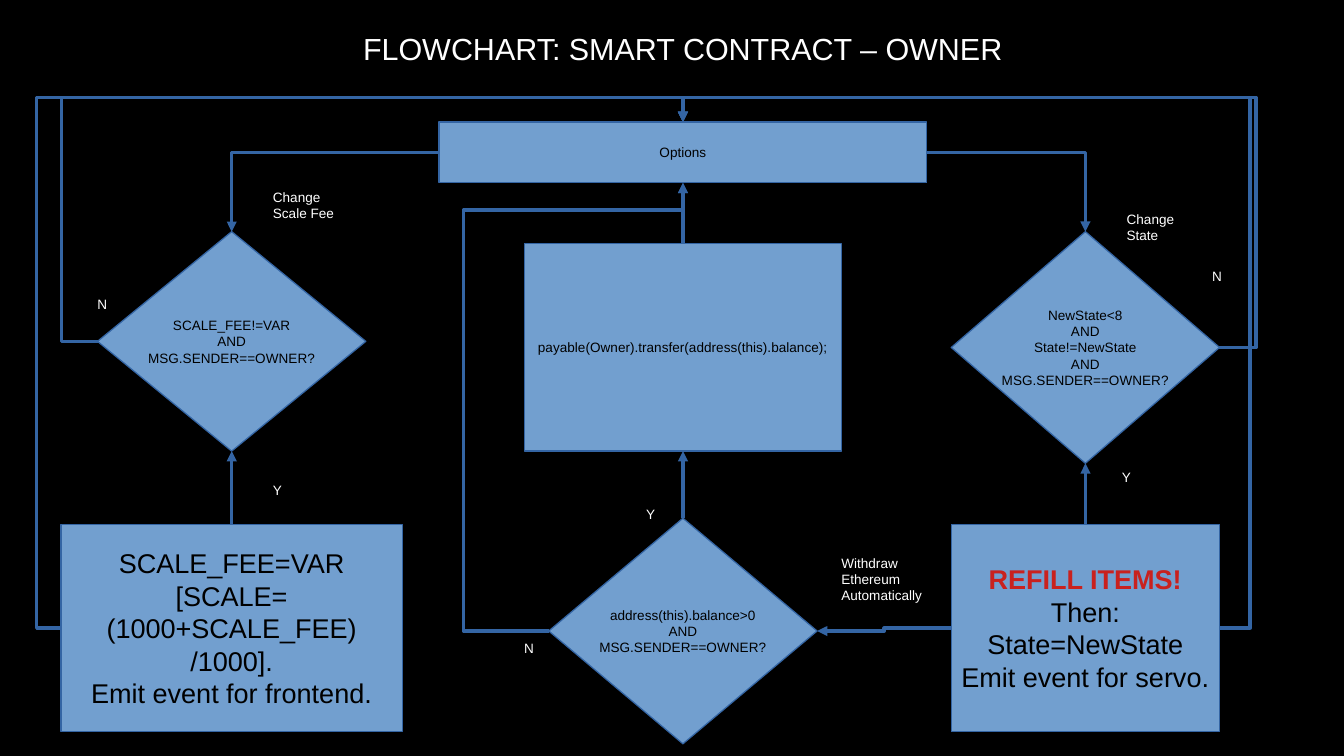
from dataclasses import dataclass

from lxml.etree import SubElement
from pptx import Presentation
from pptx.dml.color import RGBColor as RGB
from pptx.enum.shapes import MSO_CONNECTOR as LINK, MSO_SHAPE as SHAPE
from pptx.enum.text import MSO_ANCHOR as ANCHOR, PP_ALIGN as ALIGN
from pptx.oxml.ns import qn
from pptx.util import Pt

TOP, LEFT, BOTTOM, RIGHT = range(4)


@dataclass(frozen=True)
class Theme:
    """Colours, font and type sizes of the flowchart."""

    font: str = "Arial"
    background: RGB = RGB(0x00, 0x00, 0x00)
    box: RGB = RGB(0x72, 0x9F, 0xCF)
    edge: RGB = RGB(0x34, 0x65, 0xA4)
    ink: RGB = RGB(0x00, 0x00, 0x00)
    label: RGB = RGB(0xFF, 0xFF, 0xFF)
    alert: RGB = RGB(0xC9, 0x21, 0x1E)
    title_size: int = 18
    action_size: int = 16
    small_size: int = 8


class Flowchart:
    """Draws flowchart elements on one slide, with lengths in points."""

    def __init__(self, slide, theme):
        self.slide = slide
        self.shapes = slide.shapes
        self.theme = theme
        slide.background.fill.solid()
        slide.background.fill.fore_color.rgb = theme.background

    def set_text(self, frame, text, size, color, align):
        """Fill a text frame and format its paragraphs."""
        frame.text = text
        for paragraph in frame.paragraphs:
            paragraph.alignment = align
            for run in paragraph.runs:
                run.font.name = self.theme.font
                run.font.size = Pt(size)
                run.font.color.rgb = color

    def label(self, text, left, top, width, height, size=None, align=ALIGN.LEFT):
        """Add white text without a box."""
        frame = self.shapes.add_textbox(Pt(left), Pt(top), Pt(width), Pt(height)).text_frame
        frame.word_wrap = True
        self.set_text(frame, text, size or self.theme.small_size, self.theme.label, align)

    def node(self, text, left, top, width, height, kind=SHAPE.RECTANGLE, size=None):
        """Add a filled step or decision and return it."""
        node = self.shapes.add_shape(kind, Pt(left), Pt(top), Pt(width), Pt(height))
        node.shadow.inherit = False
        node.fill.solid()
        node.fill.fore_color.rgb = self.theme.box
        node.line.color.rgb = self.theme.edge
        node.line.width = Pt(0)
        node.text_frame.word_wrap = False
        node.text_frame.vertical_anchor = ANCHOR.MIDDLE
        self.set_text(node.text_frame, text, size or self.theme.small_size,
                      self.theme.ink, ALIGN.CENTER)
        return node

    def decision(self, text, left, top, height):
        """Add a diamond of the common width and return it."""
        return self.node(text, left, top, 158.4, height, SHAPE.DIAMOND)

    def emphasize(self, paragraph):
        """Make a paragraph bold in the alert colour."""
        for run in paragraph.runs:
            run.font.bold = True
            run.font.color.rgb = self.theme.alert

    @staticmethod
    def side_point(node, side):
        """Return the middle of one side of a node."""
        across = {LEFT: 0, RIGHT: node.width}.get(side, node.width // 2)
        down = {TOP: 0, BOTTOM: node.height}.get(side, node.height // 2)
        return node.left + across, node.top + down

    def arrow(self, source, source_side, target, target_side, preset=None, via=None):
        """Join two nodes with a straight arrow, or a bent one of the given preset."""
        start = self.side_point(source, source_side)
        end = self.side_point(target, target_side)
        link = self.shapes.add_connector(LINK.ELBOW if preset else LINK.STRAIGHT, *start, *end)
        link.begin_connect(source, source_side)
        link.end_connect(target, target_side)
        link.line.color.rgb = self.theme.edge
        link.line.width = Pt(0)
        properties = link.element.spPr
        SubElement(properties.find(qn("a:ln")), qn("a:tailEnd"), type="triangle")
        SubElement(properties, qn("a:effectLst"))
        if preset:
            self.bend(properties, preset, start, end, via)

    @staticmethod
    def bend(properties, preset, start, end, via):
        """Set the preset, turn and corner positions of a bent connector."""
        geometry = properties.find(qn("a:prstGeom"))
        geometry.set("prst", preset)
        if via:
            guides = geometry.find(qn("a:avLst"))
            for number, (corner, begin, finish) in enumerate(zip(via, start, end), 1):
                share = round((Pt(corner) - begin) / (finish - begin) * 100000)
                SubElement(guides, qn("a:gd"), name=f"adj{number}", fmla=f"val {share}")
        leftward, upward = end[0] < start[0], end[1] < start[1]
        if leftward != upward:
            transform = properties.find(qn("a:xfrm"))
            transform.set("rot", "10800000")
            transform.set("flipH", str(int(upward)))
            transform.set("flipV", str(int(leftward)))


def main():
    """Build the owner flowchart and save it."""
    theme = Theme()
    deck = Presentation()
    deck.slide_width, deck.slide_height = Pt(793.44), Pt(446.4)
    chart = Flowchart(deck.slides.add_slide(deck.slide_layouts[6]), theme)

    chart.label("FLOWCHART: SMART CONTRACT – OWNER", 28.8, 14.4, 748.8, 47.5,
                theme.title_size, ALIGN.CENTER)

    options = chart.node("Options", 259.2, 72, 288, 36)
    set_fee = chart.node(
        "SCALE_FEE=VAR\n[SCALE=\n(1000+SCALE_FEE)\n/1000].\nEmit event for frontend.",
        36, 309.6, 201.6, 122.4, size=theme.action_size)
    transfer = chart.node("payable(Owner).transfer(address(this).balance);",
                          309.6, 144, 187.2, 122.4)
    refill = chart.node("REFILL ITEMS!\nThen:\nState=NewState\nEmit event for servo.",
                        561.6, 309.6, 158.4, 122.4, size=theme.action_size)
    chart.emphasize(refill.text_frame.paragraphs[0])

    check_fee = chart.decision("SCALE_FEE!=VAR\nAND\nMSG.SENDER==OWNER?", 57.6, 136.8, 129.6)
    check_state = chart.decision(
        "NewState<8\nAND\nState!=NewState\nAND\nMSG.SENDER==OWNER?", 561.6, 136.8, 136.8)
    check_balance = chart.decision(
        "address(this).balance>0\nAND\nMSG.SENDER==OWNER?", 324, 306, 133.2)

    for source, target in ((set_fee, check_fee), (refill, check_state),
                           (check_balance, transfer), (transfer, options)):
        chart.arrow(source, TOP, target, BOTTOM)

    for side, decision in ((LEFT, check_fee), (RIGHT, check_state)):
        chart.arrow(options, side, decision, TOP, "bentConnector2")

    for source, side, target_side, via in (
            (check_fee, LEFT, TOP, (36, 57.6)),
            (check_state, RIGHT, TOP, (741.6, 57.6)),
            (set_fee, LEFT, TOP, (21.6, 57.6)),
            (refill, RIGHT, TOP, (738, 57.6)),
            (check_balance, LEFT, BOTTOM, (273.6, 124))):
        chart.arrow(source, side, options, target_side, "bentConnector4", via)

    chart.arrow(refill, LEFT, check_balance, RIGHT, "bentConnector3")

    for answer, left, top in (("Y", 374.4, 295.2), ("Y", 154, 280.8), ("Y", 655.2, 273.6),
                              ("N", 50.4, 171.4), ("N", 302.4, 374.4), ("N", 708.5, 154.8)):
        chart.label(answer, left, top, 33, 16)

    chart.label("Change Scale Fee", 154, 108, 62, 34)
    chart.label("Withdraw Ethereum Automatically", 489.6, 324, 72, 43.2)
    chart.label("Change\nState", 658, 121, 62, 34)

    deck.save("out.pptx")


if __name__ == "__main__":
    main()
